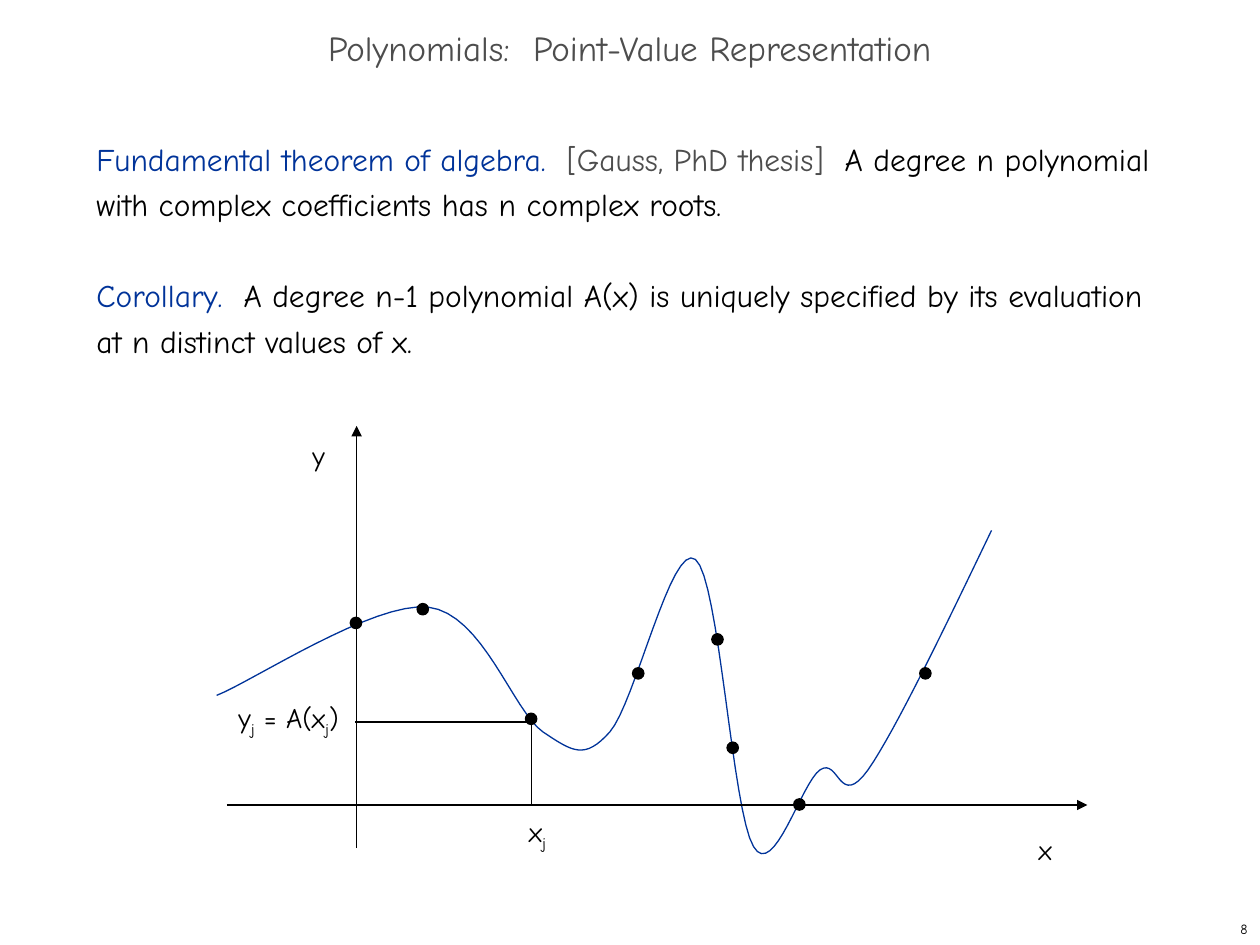
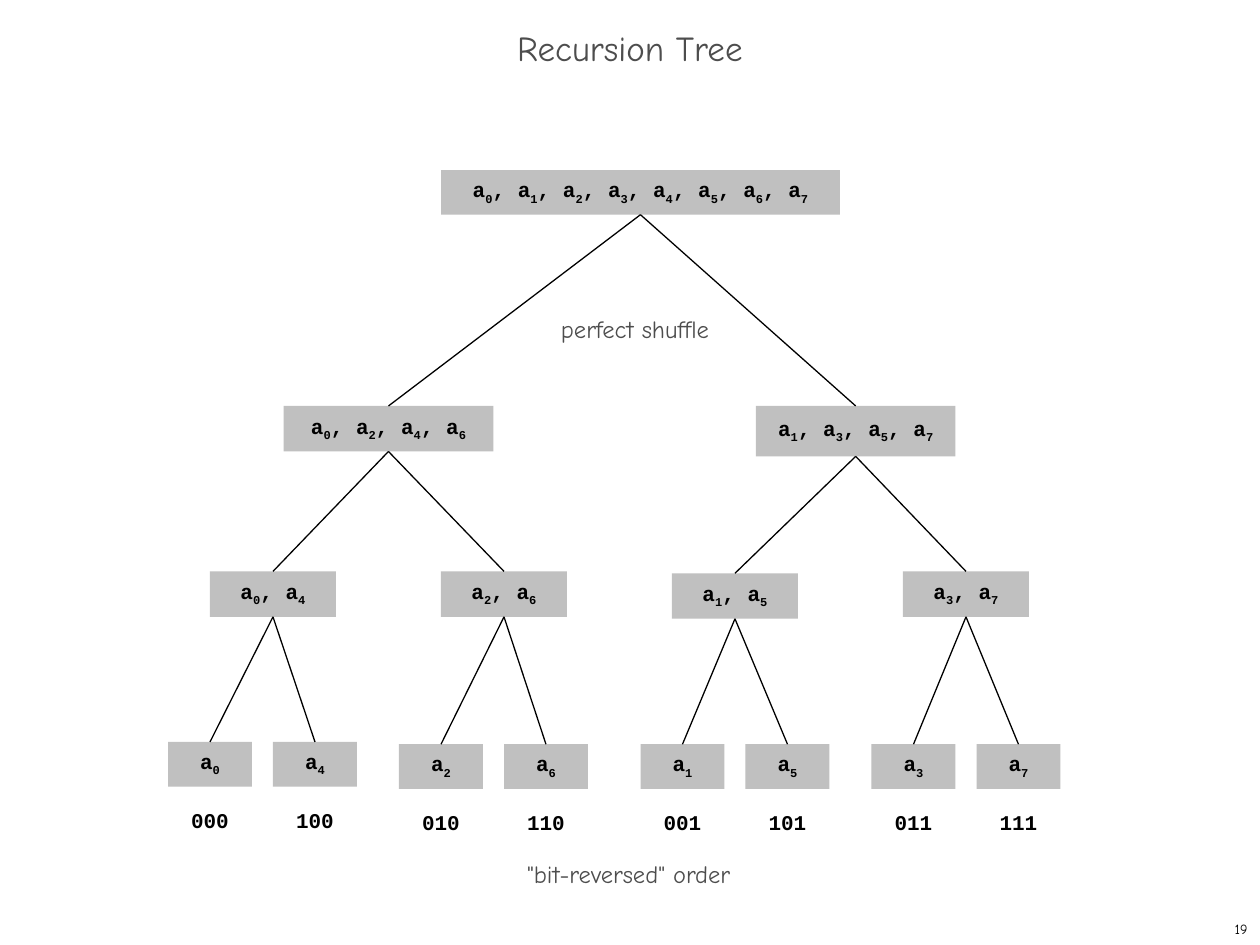
"""Build two lecture slides: point-value representation and the recursion tree."""
from lxml import etree
from pptx import Presentation
from pptx.dml.color import RGBColor
from pptx.enum.shapes import MSO_CONNECTOR, MSO_SHAPE
from pptx.enum.text import MSO_ANCHOR, PP_ALIGN
from pptx.oxml.ns import qn
from pptx.util import Pt

BLUE = RGBColor(0x00, 0x33, 0x99)
GRAY = RGBColor(0x4D, 0x4D, 0x4D)
SILVER = RGBColor(0xC0, 0xC0, 0xC0)
BLACK = RGBColor(0x00, 0x00, 0x00)
SANS, MONO = "Comic Neue", "Courier New"

THEOREMS = [
    [("Fundamental theorem of algebra.  ", BLUE),
     ("[Gauss, PhD thesis]  ", GRAY),
     ("A degree n polynomial with complex coefficients has n complex roots.", BLACK)],
    [("Corollary.  ", BLUE),
     ("A degree n-1 polynomial A(x) is uniquely specified by its evaluation "
      "at n distinct values of x.", BLACK)],
]

CURVE_START = (123.8, 397.4)
CURVE = [
    ((144, 389.5), (213.8, 343.4), (244.8, 347)),
    ((275.8, 350.6), (293, 406.1), (310.3, 418.3)),
    ((327.6, 429.8), (334.1, 434.2), (348.5, 418.3)),
    ((362.9, 401.8), (383.8, 308.9), (397.4, 319.7)),
    ((411.1, 330.5), (418.3, 463.7), (430.6, 483.8)),
    ((442.1, 503.3), (457.9, 447.1), (468.7, 439.9)),
    ((479.5, 432.7), (479.5, 463), (496.1, 439.9)),
    ((511.9, 416.9), (539.3, 360), (566.6, 303.1)),
]
CURVE_STEPS = 16
DOT = 6.5
SAMPLES = [(203.4, 356), (241.6, 348.1), (303.5, 410.8), (364.7, 384.8),
           (410, 365.4), (418.7, 427.3), (456.8, 459.7), (528.8, 384.8)]
AXES = [((203.8, 484.6), (203.8, 243.4)), ((129.6, 460), (621.4, 460))]
GUIDES = [((303.8, 412.6), (303.8, 460)), ((303.8, 412.6), (203, 412.6))]
AXIS_LABELS = [
    ("x", (578.2, 472.3, 38.2, 26.6)),
    ("y", (144, 247, 76.3, 26.6)),
    ("x_j", (288, 462.2, 38.2, 28.8)),
    ("y_j = A(x_j)", (119.5, 396.7, 90.7, 28.8)),
]

TREE_BOXES = [(252, 97.2, 228, 25.5), (162, 232, 120, 26), (432, 232, 114, 28.8)]
TREE_BOXES += [(x, y, 72, 26) for x, y in
               [(120, 326.5), (252, 326.5), (384, 327.6), (516, 326.5)]]
TREE_BOXES += [(x, y, 48, 25.5) for x, y in
               [(96, 424), (156, 424), (228, 425.3), (288, 425.3),
                (366, 425.3), (426, 425.3), (498, 425.3), (558, 425.3)]]
BITS_WIDTH, BITS_DROP = 36, 34


def write(p, text, size, color=BLACK, font=SANS, bold=False):
    """Append text to a paragraph; the character after each "_" is a subscript."""
    head, *tails = text.split("_")
    pieces = [(head, False)]
    for tail in tails:
        pieces += [(tail[0], True), (tail[1:], False)]
    for piece, is_sub in pieces:
        if piece:
            r = p.add_run()
            r.text = piece
            r.font.size, r.font.name, r.font.bold = Pt(size), font, bold
            r.font.color.rgb = color
            if is_sub:
                r.font._element.set("baseline", "-25000")


def add_text(s, text, box, size, color=BLACK, font=SANS, bold=False,
             align=PP_ALIGN.CENTER, before=0, wrap=True, anchor=MSO_ANCHOR.TOP):
    """Add a text box holding one paragraph."""
    tf = s.shapes.add_textbox(*map(Pt, box)).text_frame
    tf.word_wrap, tf.vertical_anchor = wrap, anchor
    p = tf.paragraphs[0]
    p.alignment, p.space_before = align, Pt(before)
    write(p, text, size, color, font, bold)
    return p


def add_line(s, start, end, arrow=False):
    """Add a thin black line, optionally ending in a triangle."""
    c = s.shapes.add_connector(MSO_CONNECTOR.STRAIGHT, *map(Pt, start + end))
    c.line.color.rgb, c.line.width = BLACK, Pt(0.75)
    if arrow:
        etree.SubElement(c.line._get_or_add_ln(), qn("a:tailEnd"), type="triangle")
    etree.SubElement(c._element.spPr, qn("a:effectLst"))
    return c


def add_slide(prs, title, number):
    """Add a slide with the shared title and page number."""
    s = prs.slides.add_slide(prs.slide_layouts[6])
    p = add_text(s, title, (0, 12, 720, 36), 20, GRAY, anchor=MSO_ANCHOR.MIDDLE)
    p.line_spacing = 0.7
    add_text(s, str(number), (570, 522, 150, 18), 8,
             align=PP_ALIGN.RIGHT, anchor=MSO_ANCHOR.MIDDLE)
    return s


def add_curve(s):
    """Draw the polynomial from its cubic Bezier segments."""
    points, start = [], CURVE_START
    for c1, c2, end in CURVE:
        for step in range(1, CURVE_STEPS + 1):
            t = step / CURVE_STEPS
            u = 1 - t
            points.append(tuple(
                Pt(u**3 * a + 3 * u * u * t * b + 3 * u * t * t * c + t**3 * d)
                for a, b, c, d in zip(start, c1, c2, end)))
        start = end
    builder = s.shapes.build_freeform(*map(Pt, CURVE_START))
    builder.add_line_segments(points, close=False)
    sp = builder.convert_to_shape()
    sp.shadow.inherit = False
    sp.fill.background()
    sp.line.color.rgb, sp.line.width = BLUE, Pt(0.75)


def add_point_value(prs):
    """Build the slide on point-value representation."""
    s = add_slide(prs, "Polynomials:  Point-Value Representation", 8)
    tf = s.shapes.add_textbox(Pt(48), Pt(72), Pt(618), Pt(426)).text_frame
    tf.word_wrap = True
    for i, theorem in enumerate(THEOREMS):
        p = tf.add_paragraph() if i else tf.paragraphs[0]
        p.line_spacing, p.space_before = Pt(26), Pt(26 if i else 0)
        for text, color in theorem:
            write(p, text, 18, color)
    add_curve(s)
    for start, end in AXES:
        add_line(s, start, end, arrow=True)
    for start, end in GUIDES:
        add_line(s, start, end)
    for x, y in SAMPLES:
        sp = s.shapes.add_shape(MSO_SHAPE.OVAL, Pt(x - DOT / 2), Pt(y - DOT / 2),
                                Pt(DOT), Pt(DOT))
        sp.shadow.inherit = False
        sp.fill.solid()
        sp.fill.fore_color.rgb = BLACK
        sp.line.color.rgb, sp.line.width = BLACK, Pt(0.75)
    for text, box in AXIS_LABELS:
        add_text(s, text, box, 16, before=10)


def add_node(s, indices, box):
    """Add a tree node listing its coefficients."""
    sp = s.shapes.add_shape(MSO_SHAPE.RECTANGLE, *map(Pt, box))
    sp.shadow.inherit = False
    sp.fill.solid()
    sp.fill.fore_color.rgb = SILVER
    sp.line.fill.background()
    tf = sp.text_frame
    tf.margin_bottom, tf.vertical_anchor = Pt(5), MSO_ANCHOR.MIDDLE
    p = tf.paragraphs[0]
    p.alignment, p.space_before = PP_ALIGN.CENTER, Pt(7.5)
    write(p, ", ".join(f"a_{i}" for i in indices), 12, font=MONO, bold=True)
    return sp


def add_recursion_tree(prs):
    """Build the slide on the recursion tree, with nodes in level order."""
    s = add_slide(prs, "Recursion Tree", 19)
    nodes, lists = [], [list(range(8))]
    for k, box in enumerate(TREE_BOXES):
        indices = lists[k]
        node = add_node(s, indices, box)
        nodes.append(node)
        if k:
            c = add_line(s, (0, 0), (0, 0))
            c.begin_connect(nodes[(k - 1) // 2], 2)
            c.end_connect(node, 0)
        if len(indices) > 1:
            lists += [indices[::2], indices[1::2]]
        else:
            x, y, w, _ = box
            add_text(s, f"{indices[0]:03b}",
                     (x + (w - BITS_WIDTH) / 2, y + BITS_DROP, BITS_WIDTH, 21.6),
                     12, font=MONO, bold=True, before=7.5, wrap=False)
    add_text(s, "perfect shuffle", (313.2, 175.7, 99.4, 23.8), 14, GRAY,
             before=8.8, wrap=False)
    add_text(s, '"bit-reversed" order', (254.2, 487.4, 210.2, 23.8), 14, GRAY,
             before=8.8)


def main():
    """Create and save the presentation."""
    prs = Presentation()
    prs.slide_width, prs.slide_height = Pt(720), Pt(540)
    add_point_value(prs)
    add_recursion_tree(prs)
    prs.save("out.pptx")


if __name__ == "__main__":
    main()
